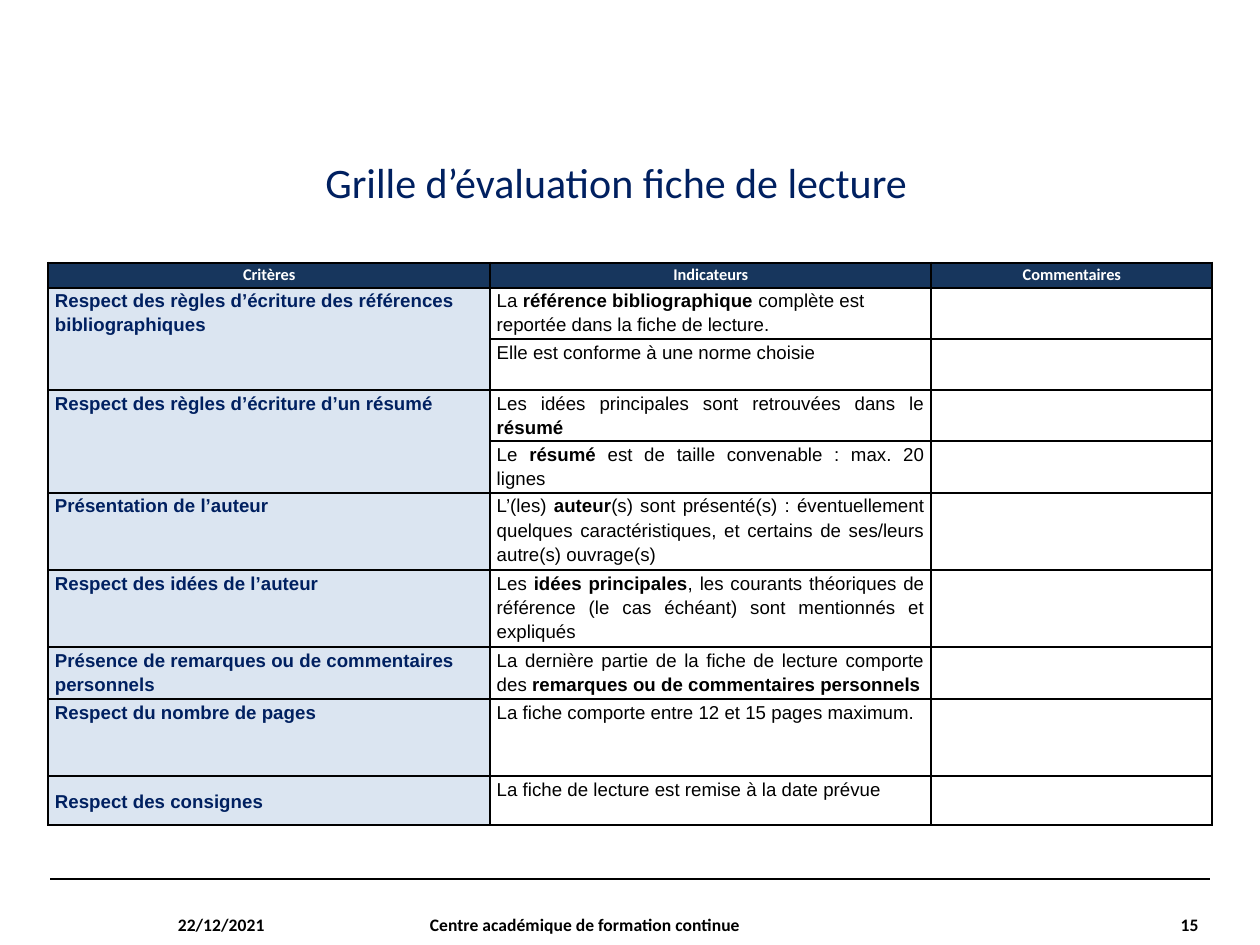
from dataclasses import dataclass

from lxml.etree import SubElement
from pptx import Presentation
from pptx.dml.color import RGBColor
from pptx.enum.shapes import MSO_CONNECTOR
from pptx.enum.text import MSO_ANCHOR, PP_ALIGN
from pptx.oxml import parse_xml
from pptx.oxml.ns import nsdecls, qn
from pptx.util import Cm, Pt

TITLE = "Grille d’évaluation fiche de lecture"
HEADERS = ["Critères", "Indicateurs", "Commentaires"]
JUSTIFIED, LEFT = PP_ALIGN.JUSTIFY, PP_ALIGN.LEFT

# Criterion, then its indicators: (text with **bold** parts, alignment, row height in cm)
CRITERIA = [
    ("Respect des règles d’écriture des références bibliographiques", [
        ("La **référence bibliographique** complète est reportée dans la fiche de lecture.", LEFT, 0.77),
        ("Elle est conforme à une norme choisie", JUSTIFIED, 0.77),
    ]),
    ("Respect des règles d’écriture d’un résumé", [
        ("Les idées principales sont retrouvées dans le **résumé**", JUSTIFIED, 0.77),
        ("Le **résumé** est de taille convenable : max. 20 lignes", JUSTIFIED, 0.77),
    ]),
    ("Présentation de l’auteur", [
        ("L’(les) **auteur**(s) sont présenté(s) : éventuellement quelques caractéristiques, "
         "et certains de ses/leurs autre(s) ouvrage(s)", JUSTIFIED, 1.17),
    ]),
    ("Respect des idées de l’auteur", [
        ("Les **idées principales**, les courants théoriques de référence (le cas échéant) "
         "sont mentionnés et expliqués", JUSTIFIED, 1.17),
    ]),
    ("Présence de remarques ou de commentaires personnels", [
        ("La dernière partie de la fiche de lecture comporte des "
         "**remarques ou de commentaires personnels**", JUSTIFIED, 0.73),
    ]),
    ("Respect du nombre de pages", [
        ("La fiche comporte entre 12 et 15 pages maximum.", LEFT, 1.17),
    ]),
    ("Respect des consignes", [
        ("La fiche de lecture est remise à la date prévue", LEFT, 0.73),
    ]),
]
CENTRED_CRITERION = "Respect des consignes"
HEADER_HEIGHT = 0.38
COLUMN_WIDTHS = [6.68, 6.67, 4.25]

# Text, left and width in cm, alignment
FOOTER = [
    ("22/12/2021", 1.12, 4.45, PP_ALIGN.CENTER),
    ("Centre académique de formation continue", 6.5, 6.05, LEFT),
    ("15", 13.67, 4.45, PP_ALIGN.RIGHT),
]


@dataclass(frozen=True)
class Theme:
    navy: str = "002060"
    header: str = "17365D"
    pale: str = "DBE5F1"
    black: str = "000000"
    white: str = "FFFFFF"
    heading_font: str = "Calibri"
    body_font: str = "Arial"
    title_size: float = 18
    body_size: float = 8
    footer_size: float = 7.5
    header_size: float = 7
    line_spacing: float = 1.15


THEME = Theme()


def write(frame, text, *, font=THEME.body_font, size=THEME.body_size, color=THEME.black,
          bold=False, align=LEFT, spacing=THEME.line_spacing):
    """Fill the first paragraph; parts between ** marks are bold."""
    paragraph = frame.paragraphs[0]
    paragraph.alignment = align
    paragraph.line_spacing = spacing
    for index, part in enumerate(text.split("**")):
        if part:
            run = paragraph.add_run()
            run.text = part
            run.font.name = font
            run.font.size = Pt(size)
            run.font.bold = bold or index % 2 == 1
            run.font.color.rgb = RGBColor.from_string(color)
    return paragraph


def set_insets(box, horizontal):
    box.margin_left = box.margin_right = Cm(horizontal)
    box.margin_top = box.margin_bottom = 0


def style_cell(cell, fill=None):
    set_insets(cell, 0.1)
    if fill:
        cell.fill.solid()
        cell.fill.fore_color.rgb = RGBColor.from_string(fill)
    else:
        cell.fill.background()
    properties = cell._tc.get_or_add_tcPr()
    for index, side in enumerate("LRTB"):
        properties.insert(index, parse_xml(
            f'<a:ln{side} {nsdecls("a")} w="{Pt(1)}"><a:solidFill>'
            f'<a:srgbClr val="{THEME.black}"/></a:solidFill></a:ln{side}>'))


def add_title(slide):
    title = slide.shapes.title
    title.left, title.top, title.width, title.height = Cm(4.52), Cm(2.13), Cm(9.6), Cm(1.09)
    frame = title.text_frame
    frame.word_wrap = False
    frame.vertical_anchor = MSO_ANCHOR.TOP
    paragraph = write(frame, TITLE, font=THEME.heading_font, size=THEME.title_size,
                      color=THEME.navy, align=PP_ALIGN.CENTER)
    paragraph.space_before = 0
    paragraph.space_after = Pt(10)


def add_grid(slide):
    heights = [HEADER_HEIGHT] + [height for _, rows in CRITERIA for _, _, height in rows]
    table = slide.shapes.add_table(
        len(heights), len(HEADERS), Cm(0.73), Cm(3.97),
        Cm(sum(COLUMN_WIDTHS)), Cm(sum(heights))).table
    table.first_row = table.horz_banding = False
    for column, width in zip(table.columns, COLUMN_WIDTHS):
        column.width = Cm(width)
    for row, height in zip(table.rows, heights):
        row.height = Cm(height)

    for column, header in enumerate(HEADERS):
        cell = table.cell(0, column)
        style_cell(cell, THEME.header)
        write(cell.text_frame, header, font=THEME.heading_font, size=THEME.header_size,
              color=THEME.white, bold=True, align=PP_ALIGN.CENTER)

    row = 1
    for criterion, indicators in CRITERIA:
        first = table.cell(row, 0)
        if len(indicators) > 1:
            first.merge(table.cell(row + len(indicators) - 1, 0))
        write(first.text_frame, criterion, color=THEME.navy, bold=True)
        if criterion == CENTRED_CRITERION:
            first.vertical_anchor = MSO_ANCHOR.MIDDLE
        for text, align, _ in indicators:
            style_cell(table.cell(row, 0), THEME.pale)
            style_cell(table.cell(row, 1))
            write(table.cell(row, 1).text_frame, text, align=align)
            comment = table.cell(row, 2)
            style_cell(comment)
            SubElement(comment.text_frame.paragraphs[0]._p, qn("a:endParaRPr"),
                       sz=str(int(THEME.body_size * 100)))
            row += 1


def add_footer(slide):
    rule = slide.shapes.add_connector(
        MSO_CONNECTOR.STRAIGHT, Cm(0.76), Cm(13.29), Cm(18.29), Cm(13.29))
    rule.line.color.rgb = RGBColor.from_string(THEME.black)
    rule.line.width = Pt(0.8)
    SubElement(rule._element.spPr, qn("a:effectLst"))
    for text, left, width, align in FOOTER:
        frame = slide.shapes.add_textbox(Cm(left), Cm(13.6), Cm(width), Cm(0.76)).text_frame
        frame.word_wrap = True
        frame.vertical_anchor = MSO_ANCHOR.MIDDLE
        set_insets(frame, 0)
        write(frame, text, font=THEME.heading_font, size=THEME.footer_size,
              bold=True, align=align, spacing=1.0)


def main():
    presentation = Presentation()
    presentation.slide_width, presentation.slide_height = Cm(19.05), Cm(14.29)
    slide = presentation.slides.add_slide(presentation.slide_layouts[5])
    add_footer(slide)
    add_grid(slide)
    add_title(slide)
    presentation.save("out.pptx")


if __name__ == "__main__":
    main()
